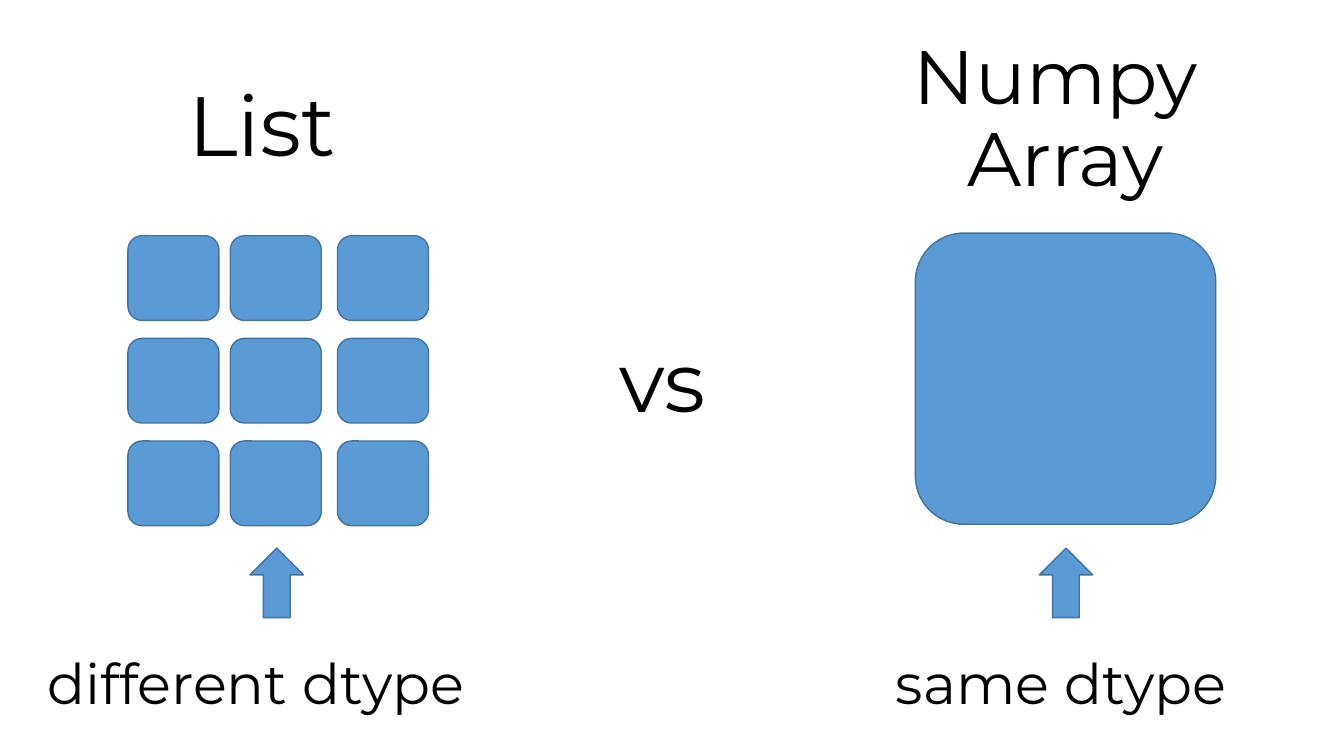
from pptx import Presentation
from pptx.dml.color import RGBColor
from pptx.enum.shapes import MSO_SHAPE as Preset
from pptx.enum.text import MSO_ANCHOR as Anchor, PP_ALIGN as Align
from pptx.util import Pt


def color(hex_code):
    return RGBColor.from_string(hex_code)


class SlideBuilder:
    FONT = "Montserrat"
    INK = "000000"
    FILL = "5B9BD5"
    OUTLINE = "43739E"

    def __init__(self, slide):
        self.slide = slide

    def text(self, words, left, top, width, height, size):
        """Add a one-line label and return its shape."""
        shape = self.slide.shapes.add_textbox(Pt(left), Pt(top), Pt(width), Pt(height))
        shape.text_frame.word_wrap = False
        paragraph = shape.text_frame.paragraphs[0]
        paragraph.text = words
        paragraph.font.name = self.FONT
        paragraph.font.size = Pt(size)
        paragraph.font.color.rgb = color(self.INK)
        return shape

    def title(self, words, left, top, width, height, size):
        """Add a centred, wrapping heading that sits on the bottom of its box."""
        frame = self.text(words, left, top, width, height, size).text_frame
        frame.word_wrap = True
        frame.vertical_anchor = Anchor.BOTTOM
        frame.paragraphs[0].alignment = Align.CENTER
        frame.paragraphs[0].line_spacing = 0.9

    def block(self, preset, left, top, width, height):
        shape = self.slide.shapes.add_shape(preset, Pt(left), Pt(top), Pt(width), Pt(height))
        shape.shadow.inherit = False
        shape.fill.solid()
        shape.fill.fore_color.rgb = color(self.FILL)
        shape.line.color.rgb = color(self.OUTLINE)
        shape.line.width = Pt(1)


def main():
    presentation = Presentation()
    presentation.slide_width, presentation.slide_height = Pt(960), Pt(540)
    builder = SlideBuilder(presentation.slides.add_slide(presentation.slide_layouts[6]))

    builder.title("Numpy \vArray", 619.2, 28, 283.7, 120.2, 54)
    builder.text("vs", 435.6, 231.1, 88.6, 80, 60)
    builder.text("List", 127.4, 48.2, 139, 80, 60)

    for top in (168.4, 241.7, 315):
        for left in (91.4, 164.5, 241.1):
            builder.block(Preset.ROUNDED_RECTANGLE, left, top, 65, 60.5)
    builder.block(Preset.ROUNDED_RECTANGLE, 653.8, 166.5, 214.6, 208)

    for arrow_left in (178.6, 742.3):
        builder.block(Preset.UP_ARROW, arrow_left, 391.5, 38.2, 49.7)

    builder.text("different dtype", 26.6, 459.4, 340.6, 55.4, 40)
    builder.text("same dtype", 632.9, 459.4, 270, 55.4, 40)

    presentation.save("out.pptx")


if __name__ == "__main__":
    main()
